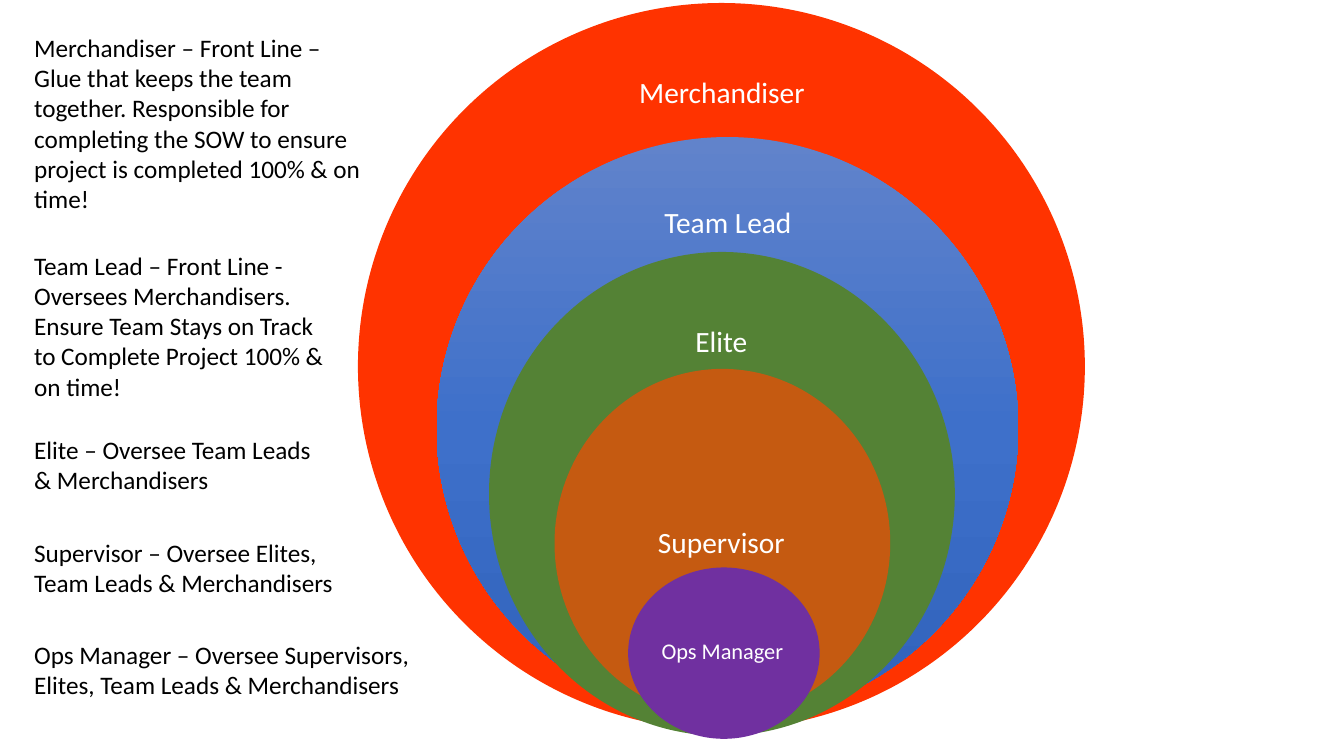
"""Build a slide of nested circles showing the team hierarchy beside role descriptions."""
import copy

import pptx
import pptx.dml.color
import pptx.enum.shapes
import pptx.enum.text
import pptx.util

RGBColor = pptx.dml.color.RGBColor
Inches = pptx.util.Inches
RED = RGBColor(0xFF, 0x33, 0x00)
GREEN = RGBColor(0x54, 0x82, 0x35)
ORANGE = RGBColor(0xC5, 0x5A, 0x11)
PURPLE = RGBColor(0x70, 0x30, 0xA0)
WHITE = RGBColor(0xFF, 0xFF, 0xFF)
BLACK = RGBColor(0x00, 0x00, 0x00)
BLUES = [RGBColor(0x61, 0x83, 0xCB), RGBColor(0x3E, 0x70, 0xCA), RGBColor(0x30, 0x62, 0xBB)]

presentation = pptx.Presentation()
presentation.slide_width = Inches(13.33)
presentation.slide_height = Inches(7.5)
slide = presentation.slides.add_slide(presentation.slide_layouts[6])


def add_text(text, box, size, color):
    """Place a wrapped one-paragraph text box and return its frame."""
    frame = slide.shapes.add_textbox(*map(Inches, box)).text_frame
    frame.word_wrap = True
    frame.text = text
    font = frame.paragraphs[0].runs[0].font
    font.name, font.size, font.color.rgb = "Calibri", pptx.util.Pt(size), color
    return frame


def fill_with_gradient(fill, colors):
    """Fill from top to bottom with evenly spaced colours."""
    fill.gradient()
    fill.gradient_angle = 270
    first_stop = fill.gradient_stops[0]._gs
    first_stop.addnext(copy.deepcopy(first_stop))
    for index, (stop, color) in enumerate(zip(fill.gradient_stops, colors)):
        stop.color.rgb = color
        stop.position = index / (len(colors) - 1)


rings = [
    ("Merchandiser", (3.55, 0.03, 7.21, 7.21), RED, (6.15, 0.39, 2.02, 1.08), 21),
    ("Team Lead", (4.33, 1.36, 5.77, 5.77), BLUES, (6.21, 1.7, 2.02, 1.04), 21),
    ("Elite", (4.85, 2.5, 4.62, 4.8), GREEN, (6.08, 2.86, 2.15, 1.08), 21),
    ("Supervisor", (5.5, 3.66, 3.33, 3.46), ORANGE, (5.98, 4.53, 2.35, 1.73), 21),
    ("Ops Manager", (6.23, 5.63, 1.9, 1.7), PURPLE, (5.41, 6.08, 3.51, 0.79), 16),
]
for role, circle, color, label_box, size in rings:
    ring = slide.shapes.add_shape(pptx.enum.shapes.MSO_SHAPE.OVAL, *map(Inches, circle))
    ring.shadow.inherit = False
    ring.line.fill.background()
    if color is BLUES:
        fill_with_gradient(ring.fill, color)
    else:
        ring.fill.solid()
        ring.fill.fore_color.rgb = color
    label = add_text(role, label_box, size, WHITE)
    label.vertical_anchor = pptx.enum.text.MSO_ANCHOR.MIDDLE
    label.margin_left = label.margin_right = Inches(0.16)
    label.margin_top = label.margin_bottom = Inches(0.16)
    label.paragraphs[0].alignment = pptx.enum.text.PP_ALIGN.CENTER
    label.paragraphs[0].line_spacing = 0.9

descriptions = [
    (0.27, 3.51, 1.92, "Merchandiser – Front Line – Glue that keeps the team together. Responsible for "
     "completing the SOW to ensure project is completed 100% & on time!"),
    (2.43, 3.23, 1.92, "Team Lead – Front Line - Oversees Merchandisers. Ensure Team Stays on Track "
     "to Complete Project 100% & on time!"),
    (4.26, 3.03, 0.71, "Elite – Oversee Team Leads & Merchandisers"),
    (5.28, 3.23, 0.71, "Supervisor – Oversee Elites, Team Leads & Merchandisers"),
    (6.29, 3.96, 0.71, "Ops Manager – Oversee Supervisors, Elites, Team Leads & Merchandisers"),
]
for top, width, height, description in descriptions:
    duty = add_text(description, (0.24, top, width, height), 18, BLACK)
    duty.auto_size = pptx.enum.text.MSO_AUTO_SIZE.SHAPE_TO_FIT_TEXT

presentation.save("out.pptx")
